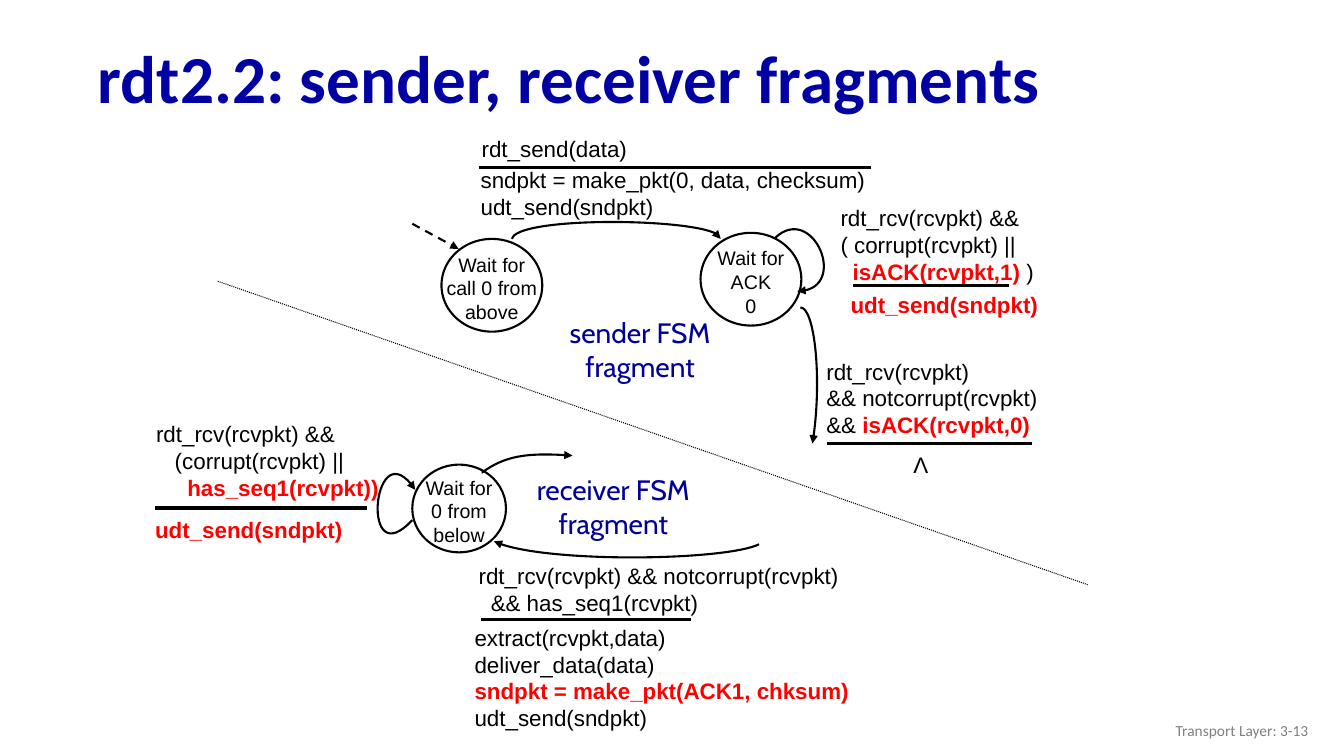
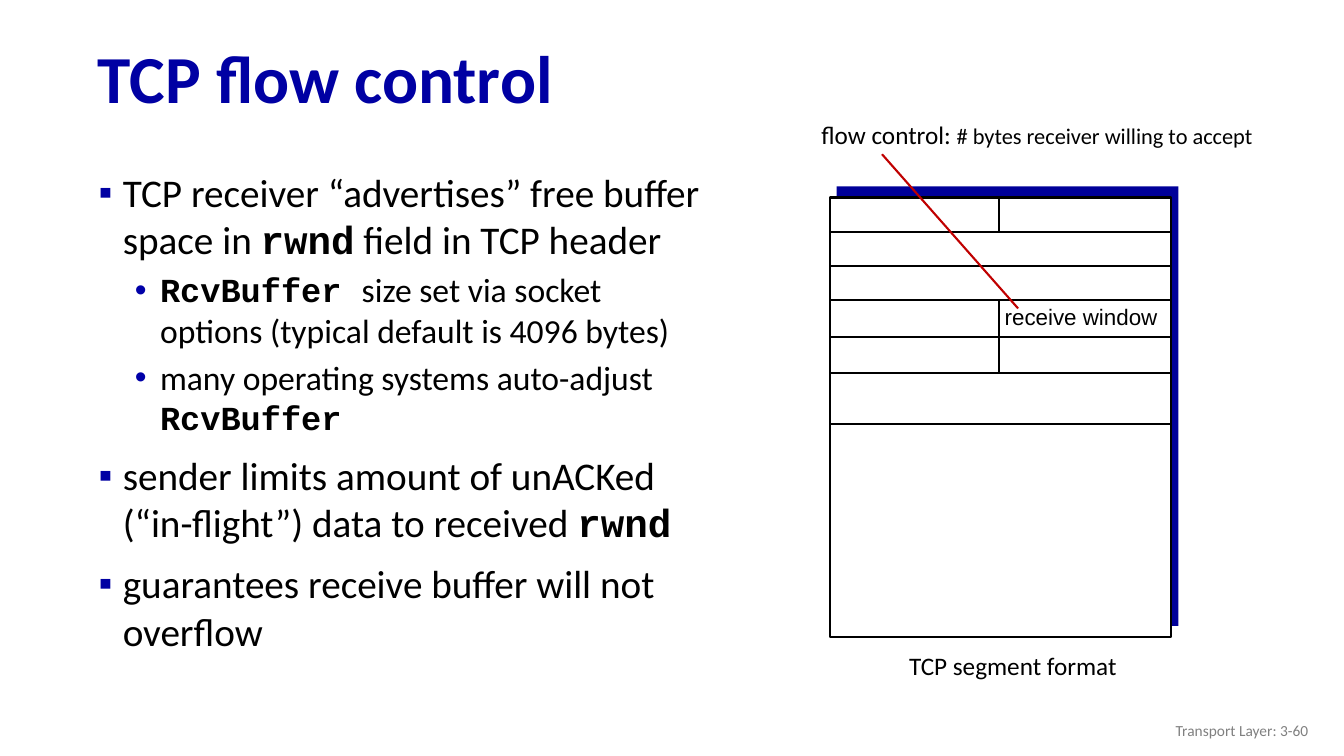
from dataclasses import dataclass
from itertools import accumulate
from typing import Any

from lxml import etree
from pptx import Presentation
from pptx.dml.color import RGBColor
from pptx.enum.dml import MSO_LINE
from pptx.enum.shapes import MSO_CONNECTOR, MSO_SHAPE
from pptx.enum.text import MSO_ANCHOR, PP_ALIGN
from pptx.oxml.ns import qn
from pptx.util import Emu, Inches, Pt

LEFT, CENTER, RIGHT = PP_ALIGN.LEFT, PP_ALIGN.CENTER, PP_ALIGN.RIGHT
TOP, MIDDLE = MSO_ANCHOR.TOP, MSO_ANCHOR.MIDDLE
STRAIGHT = MSO_CONNECTOR.STRAIGHT
OVAL, RECT = MSO_SHAPE.OVAL, MSO_SHAPE.RECTANGLE
DASH, DOT = MSO_LINE.DASH, MSO_LINE.ROUND_DOT

# One grid cell is a tenth of an inch: 133.3 columns by 75 rows.
CELL = Inches(0.1)
COLUMNS, ROWS = 133.33, 75
TITLE_ONLY = 5

BLACK, WHITE, GREY = "000000", "FFFFFF", "808080"
TITLE_BLUE, DEEP_BLUE = "0000A3", "000099"
RED, DARK_RED = "FF0000", "C00000"

CODE = dict(font="Arial", size=16, leading=Pt(19.2))
STATE = dict(font="Arial", size=14, leading=Pt(16.8), align=CENTER)
CAPTION = dict(font="Cabin", size=20, color=DEEP_BLUE, align=CENTER)
NOTE = dict(font="Calibri", size=18, leading=0.9)
CHANGED = dict(color=RED, bold=True)
MONO = dict(font="Courier New", bold=True)


def rgb(hex_color):
    return RGBColor.from_string(hex_color)


def cells(*counts):
    return [Emu(round(count * CELL)) for count in counts]


def write(frame, paragraphs, font="Calibri", size=18, color=BLACK, bold=False,
          align=LEFT, anchor=TOP, leading=None, indents=(), wrap=True):
    """Fill a text frame; a paragraph is a string or a list of strings and
    (string, format overrides) pairs."""
    frame.word_wrap = wrap
    frame.vertical_anchor = anchor
    for index, runs in enumerate(paragraphs):
        paragraph = frame.add_paragraph() if index else frame.paragraphs[0]
        paragraph.alignment = align
        if leading:
            paragraph.line_spacing = leading
        if indents:
            paragraph._p.get_or_add_pPr().set("marL", str(cells(indents[index])[0]))
        for part in [runs] if isinstance(runs, str) else runs:
            words, changes = (part, {}) if isinstance(part, str) else part
            look = dict(font=font, size=size, color=color, bold=bold) | changes
            run = paragraph.add_run()
            run.text = words
            run.font.name = look["font"]
            run.font.size = Pt(look["size"])
            run.font.bold = look["bold"]
            run.font.color.rgb = rgb(look["color"])


def draw_line(shape, color=BLACK, weight=1.5, dash=None, arrow=False):
    shape.line.color.rgb = rgb(color)
    shape.line.width = Pt(weight)
    if dash:
        shape.line.dash_style = dash
    if arrow:
        etree.SubElement(shape.line._get_or_add_ln(), qn("a:tailEnd"), type="triangle")


@dataclass
class Region:
    """Part of a slide; its methods take cells counted from its top left."""
    slide: Any
    left: float = 0
    top: float = 0

    def at(self, x, y):
        return cells(self.left + x, self.top + y)

    def label(self, x, y, width, height, *paragraphs, **look):
        box = self.slide.shapes.add_textbox(*self.at(x, y), *cells(width, height))
        write(box.text_frame, paragraphs, **look)
        return box.text_frame

    def block(self, kind, x, y, width, height, fill, outlined=True):
        shape = self.slide.shapes.add_shape(kind, *self.at(x, y), *cells(width, height))
        shape.shadow.inherit = False
        shape.fill.solid()
        shape.fill.fore_color.rgb = rgb(fill)
        if outlined:
            draw_line(shape)
        else:
            shape.line.fill.background()
        return shape

    def state(self, x, y, width, height, *lines):
        frame = self.block(OVAL, x, y, width, height, WHITE).text_frame
        frame.margin_left = frame.margin_right = frame.margin_bottom = 0
        frame.margin_top = Inches(0.05)
        write(frame, lines, anchor=MIDDLE, wrap=False, **STATE)

    def straight(self, start, end, **look):
        line = self.slide.shapes.add_connector(STRAIGHT, *self.at(*start), *self.at(*end))
        draw_line(line, **look)
        etree.SubElement(line._element.spPr, qn("a:effectLst"))

    def rule(self, x, y, width):
        """Bar between the event and the actions of a transition."""
        self.straight((x, y), (x + width, y), weight=2.25)

    def transition(self, start, *controls_and_end):
        """Curved arrow: one Bézier segment with its arrowhead at the end."""
        builder = self.slide.shapes.build_freeform(*self.at(*start), scale=1.0)
        builder.add_line_segments([self.at(*p) for p in controls_and_end], close=False)
        curve = builder.convert_to_shape()
        segments = list(curve._element.iter(qn("a:lnTo")))
        bezier = etree.SubElement(segments[0].getparent(), qn("a:cubicBezTo"))
        for segment in segments:
            bezier.append(segment[0])
            segment.getparent().remove(segment)
        curve.shadow.inherit = False
        curve.fill.background()
        draw_line(curve, arrow=True)


def add_titled_slide(deck, title, number):
    slide = deck.slides.add_slide(deck.slide_layouts[TITLE_ONLY])
    heading = slide.shapes.title
    heading.left, heading.top, heading.width, heading.height = cells(8.7, 3.2, 121.4, 9.8)
    write(heading.text_frame, [title], size=48, color=TITLE_BLUE, bold=True,
          anchor=MIDDLE, leading=0.9)
    Region(slide).label(100.8, 70.5, 30, 4, f"Transport Layer: 3-{number}",
                        size=11, color=GREY, align=RIGHT, anchor=MIDDLE)
    return slide


def sender_fsm(fsm):
    fsm.state(3.8, 11.7, 10, 9.2, "Wait for", "call 0 from", "above")
    fsm.state(29.5, 11.1, 10, 9.2, "Wait for", "ACK", "0")
    fsm.label(15.4, 18.8, 16.2, 7.7, "sender FSM", "fragment", **CAPTION)
    fsm.straight((0.9, 10.2), (5.5, 12.7), dash=DASH, arrow=True)

    fsm.label(6.8, 0.9, 18.9, 3.1, "rdt_send(data)", **CODE)
    fsm.rule(7.5, 4.6, 38.9)
    fsm.label(6.7, 4, 40.7, 6.4, "sndpkt = make_pkt(0, data, checksum)",
              "udt_send(sndpkt)", **CODE)
    fsm.transition((10.8, 11.7), (11.2, 9.5), (31.5, 9.6), (31.5, 11.7))

    fsm.label(42.4, 7.8, 29.7, 9, "rdt_rcv(rcvpkt) &&", "( corrupt(rcvpkt) ||",
              [("isACK(rcvpkt,1)", CHANGED), " )"], indents=(0, 0, 1.2), **CODE)
    fsm.rule(44.6, 16.3, 15.5)
    fsm.label(43.4, 16.4, 23.2, 4.4, [("udt_send(sndpkt)", CHANGED)], **CODE)
    fsm.transition((36.9, 11.6), (40.5, 8.2), (44.4, 16.8), (39.1, 16.9))

    fsm.label(41, 23, 26.4, 9, "rdt_rcv(rcvpkt)", "&& notcorrupt(rcvpkt)",
              ["&& ", ("isACK(rcvpkt,0)", CHANGED)], **CODE)
    fsm.rule(42, 32, 20.4)
    fsm.label(49.3, 32.3, 4.1, 3.7, "Λ", align=CENTER, **CODE)
    fsm.transition((39.4, 18.5), (40.8, 18.5), (41.6, 25.9), (40.6, 32))


def receiver_fsm(fsm):
    fsm.state(26.9, 5.1, 9.3, 8.7, "Wait for", "0 from", "below")
    fsm.label(38, 5.4, 17.7, 7.7, "receiver FSM", "fragment", **CAPTION)
    fsm.transition((33.8, 5.9), (36.1, 4.2), (38.6, 3.9), (42.8, 4.2))

    fsm.label(0.5, 0.2, 25.8, 9, "rdt_rcv(rcvpkt) &&", "(corrupt(rcvpkt) ||",
              [("has_seq1(rcvpkt))", CHANGED)], indents=(0, 1.85, 3.1), **CODE)
    fsm.rule(1.4, 9.4, 21)
    fsm.label(0.4, 9.7, 22.3, 4.5, [("udt_send(sndpkt)", CHANGED)], **CODE)
    fsm.transition((26.9, 10.6), (21.8, 16.1), (23, 1.3), (27.2, 7.6))

    fsm.label(32.5, 14.3, 43.1, 6.2, "rdt_rcv(rcvpkt) && notcorrupt(rcvpkt)",
              "&& has_seq1(rcvpkt)", indents=(0, 1.2), **CODE)
    fsm.rule(33.7, 20.5, 20.9)
    fsm.label(32.1, 20.4, 45.7, 11.7, "extract(rcvpkt,data)", "deliver_data(data)",
              [("sndpkt = make_pkt(ACK1, chksum)", CHANGED)], "udt_send(sndpkt)", **CODE)
    fsm.transition((61.3, 13), (58, 14.6), (39.6, 14.9), (35, 12.7))


def fsm_slide(deck):
    slide = add_titled_slide(deck, "rdt2.2: sender, receiver fragments", 13)
    Region(slide).straight((21.6, 27.9), (107.9, 58), weight=0.75, dash=DOT)
    sender_fsm(Region(slide, 40, 12))
    receiver_fsm(Region(slide, 14, 41))


def add_bullet(paragraph, level):
    indent, hang, space, color, mark = [
        (3.9, -2.4, 10, TITLE_BLUE, "▪"),
        (7.6, -2.5, 5, "0000A8", "•"),
    ][level]
    paragraph.level = level
    paragraph.space_before = Pt(space)
    properties = paragraph._p.get_or_add_pPr()
    for name, length in zip(("marL", "indent"), cells(indent, hang)):
        properties.set(name, str(length))
    bullet_color = etree.SubElement(properties, qn("a:buClr"))
    etree.SubElement(bullet_color, qn("a:srgbClr"), val=color)
    etree.SubElement(properties, qn("a:buFont"), typeface="Arial")
    etree.SubElement(properties, qn("a:buChar"), char=mark)


def flow_control_points(region):
    small, small_mono = dict(size=24), MONO | dict(size=24)
    points = [
        (0, ["TCP receiver “advertises” free buffer space in ", ("rwnd", MONO),
             " field in TCP header"]),
        (1, [("RcvBuffer ", small_mono),
             ("size set via socket options (typical default is 4096 bytes)", small)]),
        (1, [("many operating systems auto-adjust ", small), ("RcvBuffer", small_mono)]),
        (0, ["sender limits amount of unACKed (“in-flight”) data to received ",
             ("rwnd", MONO)]),
        (0, ["guarantees receive buffer will not overflow"]),
    ]
    frame = region.label(0, 0, 63.7, 53.7, *[runs for _, runs in points], size=28)
    for paragraph, (level, _) in zip(frame.paragraphs, points):
        add_bullet(paragraph, level)


def tcp_segment(segment):
    width, middle = 33.9, 16.8
    edges = list(accumulate((3.4, 3.4, 3.4, 3.6, 3.6, 5.1, 21.1), initial=0))
    segment.block(RECT, 0.7, -1.1, width, edges[-1], DEEP_BLUE, outlined=False)
    segment.block(RECT, 0, 0, width, edges[-1], WHITE)
    for y in edges[1:-1]:
        segment.straight((0, y), (width, y))
    for first, last in ((0, 1), (3, 5)):
        segment.straight((middle, edges[first]), (middle, edges[last]))
    segment.label(16.3, 10, 17.3, 3.7, "receive window", align=CENTER, wrap=False, **CODE)
    segment.label(6.9, 44.8, 25.3, 3.7, "TCP segment format", **NOTE)
    segment.label(-1.8, -7.9, 47.6, 3.7, [
        "flow control: ", ("# bytes receiver willing to accept", dict(size=16))], **NOTE)
    segment.straight((18.7, 11), (5.2, -4.3), color=DARK_RED)


def flow_control_slide(deck):
    slide = add_titled_slide(deck, "TCP flow control", 60)
    flow_control_points(Region(slide, 7.3, 16.2))
    tcp_segment(Region(slide, 82.3, 19.6))


def main():
    deck = Presentation()
    deck.slide_width, deck.slide_height = cells(COLUMNS, ROWS)
    fsm_slide(deck)
    flow_control_slide(deck)
    deck.save("out.pptx")


if __name__ == "__main__":
    main()
